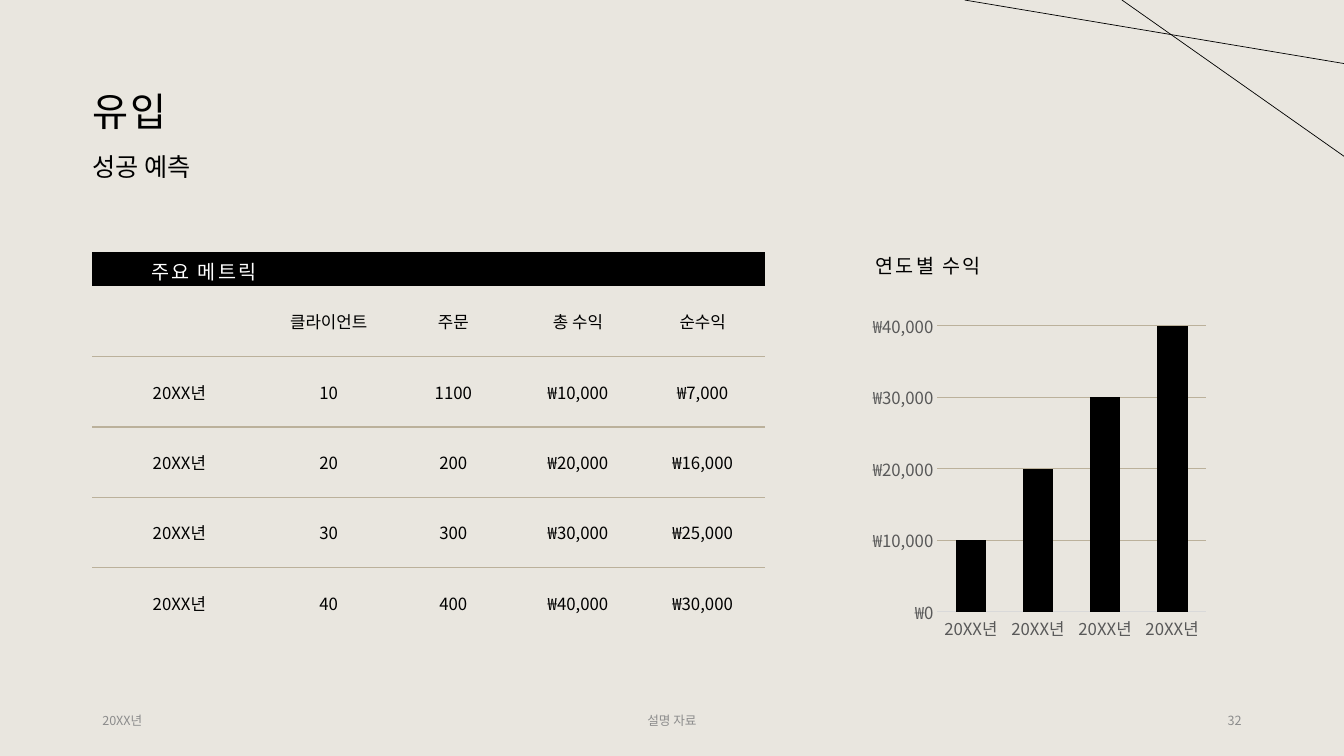
from lxml import etree
from pptx import Presentation
from pptx.chart.data import CategoryChartData
from pptx.dml.color import RGBColor
from pptx.enum.chart import XL_CHART_TYPE, XL_TICK_MARK
from pptx.enum.shapes import MSO_CONNECTOR
from pptx.enum.text import MSO_ANCHOR, PP_ALIGN
from pptx.oxml.ns import qn
from pptx.util import Pt

BLACK = RGBColor(0, 0, 0)
WHITE = RGBColor(0xFF, 0xFF, 0xFF)
CREAM = RGBColor(0xE9, 0xE6, 0xDF)
TAN = RGBColor(0xBB, 0xB1, 0x9B)
GRAY = RGBColor(0x8C, 0x8C, 0x8C)
DARK = RGBColor(0x59, 0x59, 0x59)
PALE = RGBColor(0xD9, 0xD9, 0xD9)
LEFT, CENTER, RIGHT = PP_ALIGN.LEFT, PP_ALIGN.CENTER, PP_ALIGN.RIGHT
TOP, MIDDLE = MSO_ANCHOR.TOP, MSO_ANCHOR.MIDDLE
COLUMN = XL_CHART_TYPE.COLUMN_CLUSTERED
NO_TICK = XL_TICK_MARK.NONE
STRAIGHT = MSO_CONNECTOR.STRAIGHT
FACE = "Noto Sans CJK KR"
PLAIN = "{2D5ABB26-0587-4C30-8999-92F81FD0307C}"
YEAR = "20XX년"

HEADS = ["", "클라이언트", "주문", "총 수익", "순수익"]
ROWS = [
    [YEAR, "10", "1100", "₩10,000", "₩7,000"],
    [YEAR, "20", "200", "₩20,000", "₩16,000"],
    [YEAR, "30", "300", "₩30,000", "₩25,000"],
    [YEAR, "40", "400", "₩40,000", "₩30,000"],
]
SALES = [10000, 20000, 30000, 40000]


class Deck:
    """Holds the type style and the current slide, and draws each kind of element."""

    def __init__(self, show):
        self.slide = show.slides.add_slide(show.slide_layouts[6])
        self.shapes = self.slide.shapes
        back = self.slide.background.fill
        back.solid()
        back.fore_color.rgb = CREAM

    def style(self, font, size, color, space=0):
        font.size, font.name = Pt(size), FACE
        font.fill.solid()
        font.fill.fore_color.rgb = color
        etree.SubElement(font._rPr, qn("a:ea"), typeface=FACE)
        if space:
            font._rPr.set("spc", str(int(space * 100)))

    def put(self, para, text, size, color, space=0, align=LEFT):
        para.alignment = align
        if text:
            run = para.add_run()
            run.text = text
            self.style(run.font, size, color, space)
        else:
            etree.SubElement(para._p, qn("a:endParaRPr"), sz=str(size * 100))

    def text(self, box, text, size, color=BLACK, space=0, align=LEFT,
             anchor=MIDDLE, lead=None, before=None, inset=7.2):
        frame = self.shapes.add_textbox(*map(Pt, box)).text_frame
        frame.word_wrap = True
        frame.vertical_anchor = anchor
        frame.margin_left = Pt(inset)
        para = frame.paragraphs[0]
        para.line_spacing = lead
        if before:
            para.space_before = Pt(before)
        self.put(para, text, size, color, space, align)

    def rule(self, cell):
        line = etree.Element(qn("a:lnB"), w=str(Pt(1)))
        fill = etree.SubElement(line, qn("a:solidFill"))
        etree.SubElement(fill, qn("a:srgbClr"), val=str(TAN))
        cell._tc.get_or_add_tcPr().insert(0, line)

    def table(self, box, title, rows, first, head):
        wide, high = box[2:]
        data = [[title] + [""] * (len(rows[0]) - 1)] + rows
        count, last = len(data[0]), len(data) - 1
        table = self.shapes.add_table(len(data), count, *map(Pt, box)).table
        table._tbl.tblPr.find(qn("a:tableStyleId")).text = PLAIN
        table.first_row = table.horz_banding = False
        for c, col in enumerate(table.columns):
            col.width = Pt((wide - first) / (count - 1) if c else first)
        for r, row in enumerate(table.rows):
            row.height = Pt((high - head) / last if r else head)
            for c, cell in enumerate(row.cells):
                cell.vertical_anchor = MIDDLE
                para = cell.text_frame.paragraphs[0]
                if r:
                    cell.fill.background()
                    self.put(para, data[r][c], 12, BLACK, align=CENTER)
                else:
                    cell.fill.solid()
                    cell.fill.fore_color.rgb = BLACK
                    self.put(para, data[r][c], 14, WHITE, 1.5, RIGHT)
                if 0 < r < last:
                    self.rule(cell)

    def chart(self, box, cats, vals):
        data = CategoryChartData()
        data.categories = cats
        data.add_series("Series 1", vals)
        chart = self.shapes.add_chart(COLUMN, *map(Pt, box), data).chart
        chart.has_legend = chart.has_title = False
        self.style(chart.font, 10, BLACK)
        plot = chart.plots[0]
        plot.gap_width, plot.overlap, plot.vary_by_categories = 118, -3, False
        bars = plot.series[0].format.fill
        bars.solid()
        bars.fore_color.rgb = BLACK
        base, scale = chart.category_axis, chart.value_axis
        for axis in (base, scale):
            axis.major_tick_mark = axis.minor_tick_mark = NO_TICK
            self.style(axis.tick_labels.font, 12, DARK)
        self.ink(base.format.line, PALE, 0.75)
        scale.format.line.fill.background()
        scale.minimum_scale, scale.maximum_scale, scale.major_unit = 0, 40000, 10000
        self.ink(scale.major_gridlines.format.line, TAN, 0.75)
        scale.tick_labels.number_format = '"₩"#,##0'
        scale.tick_labels.number_format_is_linked = False

    def ink(self, line, color, width):
        line.color.rgb = color
        line.width = Pt(width)

    def line(self, *ends):
        link = self.shapes.add_connector(STRAIGHT, *map(Pt, ends))
        self.ink(link.line, BLACK, 0.5)
        etree.SubElement(link._element.spPr, qn("a:effectLst"))


def main():
    show = Presentation()
    show.slide_width, show.slide_height = Pt(960), Pt(540)
    deck = Deck(show)
    deck.text((66, 28.8, 828, 104.4), "유입", 28, space=1.5, lead=0.9, inset=0)
    deck.text((59, 107.3, 532.8, 38.9), "성공 예측", 18,
              anchor=TOP, lead=0.9, before=10)
    deck.table((66, 180, 480.5, 275.8), "주요 메트릭", [HEADS] + ROWS, 124.3, 24.5)
    deck.text((618.5, 180, 247.7, 24.5), "연도별 수익", 14, space=1.5,
              anchor=TOP, lead=0.9, before=10)
    deck.chart((618.5, 218.9, 247.7, 244), [YEAR] * len(SALES), SALES)
    for left, wide, text, align in (
        (66, 216, YEAR, LEFT),
        (318, 324, "설명 자료", CENTER),
        (678, 216, "32", RIGHT),
    ):
        deck.text((left, 500.5, wide, 28.8), text, 9, GRAY, align=align)
    deck.line(801.4, 0, 960, 111.6)
    deck.line(689, 0, 960, 45.4)
    show.save("out.pptx")


if __name__ == "__main__":
    main()
